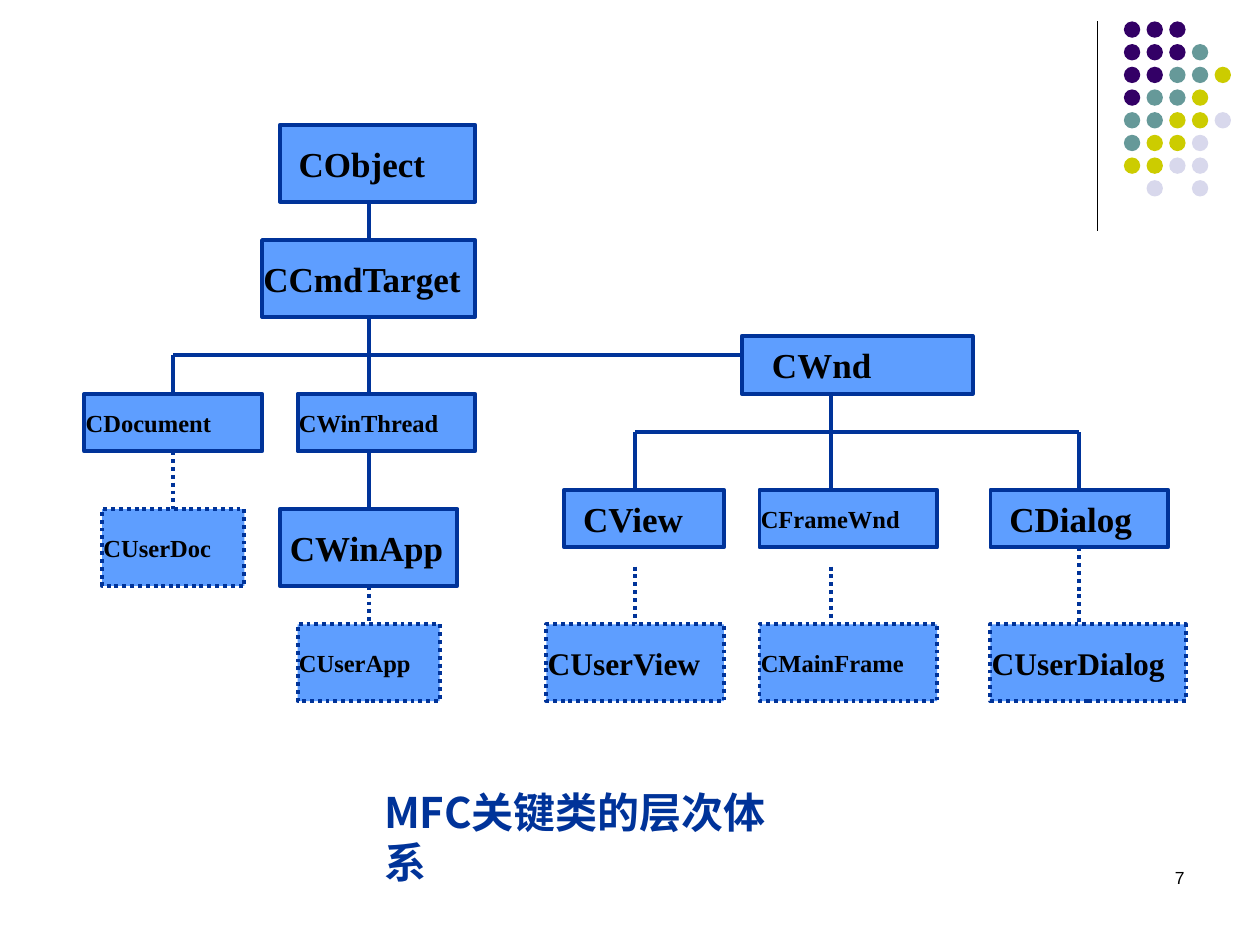
"""Build the class tree slide on a grid of columns and rows."""
from typing import NamedTuple

from lxml import etree
from pptx import Presentation
from pptx.dml.color import RGBColor
from pptx.enum.dml import MSO_LINE
from pptx.enum.shapes import MSO_CONNECTOR, MSO_SHAPE
from pptx.enum.text import MSO_ANCHOR, PP_ALIGN
from pptx.oxml.ns import qn
from pptx.util import Inches, Pt

DOTTED = MSO_LINE.ROUND_DOT
STRAIGHT = MSO_CONNECTOR.STRAIGHT
RECT, OVAL = MSO_SHAPE.RECTANGLE, MSO_SHAPE.OVAL
MIDDLE = MSO_ANCHOR.MIDDLE
LEFT, RIGHT = PP_ALIGN.LEFT, PP_ALIGN.RIGHT

WIDE, HIGH = 10, 7.5
X0, Y0 = 0.67, 0.99
COL, ROW = 1.41 / 10, 0.61 / 4
BLUE, SKY, BLACK = "003399", "5E9EFF", "000000"
SERIF, SANS, HAN = "Times New Roman", "Arial", "Noto Sans CJK SC"

DOT, STEP = 0.13, 0.18
TINTS = {"P": "330066", "T": "669999", "Y": "CCCC00", "L": "D8D8EC"}
DOTS = ["PPP", "PPPT", "PPTTY", "PTTY", "TTYYL", "TYYL", "YYLL", ".L.L"]


class Box(NamedTuple):
    """A class box in grid units, with its text size and inset."""
    name: str
    col: int
    row: int
    cols: int
    rows: int
    size: int = 14
    inset: float = 0.01
    user: bool = False


class Link(NamedTuple):
    """A line between two grid points."""
    start: tuple[int, int]
    end: tuple[int, int]
    user: bool = False


BOXES = [
    Box("CObject", 11, 0, 11, 4, 20, 0.15),
    Box("CCmdTarget", 10, 6, 12, 4, 20),
    Box("CWinApp", 11, 20, 10, 4, 20, 0.08),
    Box("CUserDoc", 1, 20, 8, 4, user=True),
    Box("CDocument", 0, 14, 10, 3),
    Box("CWinThread", 12, 14, 10, 3),
    Box("CWnd", 37, 11, 13, 3, 20, 0.24),
    Box("CUserApp", 12, 26, 8, 4, user=True),
    Box("CView", 27, 19, 9, 3, 20, 0.15),
    Box("CFrameWnd", 38, 19, 10, 3),
    Box("CDialog", 51, 19, 10, 3, 20, 0.15),
    Box("CUserView", 26, 26, 10, 4, 18, user=True),
    Box("CUserDialog", 51, 26, 11, 4, 18, user=True),
    Box("CMainFrame", 38, 26, 10, 4, user=True),
]
LINKS = [
    Link((16, 4), (16, 6)),
    Link((5, 12), (5, 14)),
    Link((5, 12), (37, 12)),
    Link((16, 10), (16, 14)),
    Link((16, 17), (16, 20)),
    Link((5, 17), (5, 20), True),
    Link((16, 24), (16, 26), True),
    Link((56, 16), (56, 19)),
    Link((42, 14), (42, 19)),
    Link((31, 16), (56, 16)),
    Link((31, 23), (31, 26), True),
    Link((56, 22), (56, 26), True),
    Link((31, 16), (31, 19)),
    Link((42, 23), (42, 26), True),
]


def tint(code: str) -> RGBColor:
    """Turn a hex string into a colour."""
    return RGBColor.from_string(code)


def place(col: float, row: float) -> tuple[int, int]:
    """Turn a grid point into slide lengths."""
    return Inches(X0 + col * COL), Inches(Y0 + row * ROW)


def stroke(line, code: str, width: float, user: bool = False) -> None:
    """Set the colour, width and dash of a line."""
    line.color.rgb = tint(code)
    line.width = Pt(width)
    if user:
        line.dash_style = DOTTED


def write(frame, text: str, size: int, face: str, code: str, bold: bool, align=LEFT) -> None:
    """Fill a text frame with one styled paragraph."""
    frame.word_wrap = True
    para = frame.paragraphs[0]
    para.text = text
    para.alignment = align
    font = para.font
    font.size, font.name, font.bold = Pt(size), face, bold
    font.color.rgb = tint(code)
    props = para._p.pPr.find(qn("a:defRPr"))
    etree.SubElement(props, qn("a:ea")).set("typeface", face)


def draw_line(shapes, start, end, code: str, width: float, user: bool = False):
    """Draw a straight line without a shadow."""
    line = shapes.add_connector(STRAIGHT, *start, *end)
    stroke(line.line, code, width, user)
    etree.SubElement(line._element.spPr, qn("a:effectLst"))
    return line


def draw_box(shapes, box: Box):
    """Draw one class box with its name."""
    left, top = place(box.col, box.row)
    shape = shapes.add_shape(RECT, left, top, Inches(box.cols * COL), Inches(box.rows * ROW))
    shape.shadow.inherit = False
    shape.fill.solid()
    shape.fill.fore_color.rgb = tint(SKY)
    stroke(shape.line, BLUE, 2.25, box.user)
    frame = shape.text_frame
    frame.margin_top = frame.margin_bottom = frame.margin_right = Inches(0.01)
    frame.margin_left = Inches(box.inset)
    frame.vertical_anchor = MIDDLE
    write(frame, box.name, box.size, SERIF, BLACK, True)
    return shape


def draw_tree(shapes) -> None:
    """Draw the links, then the boxes, and join them where sides meet."""
    lines = [draw_line(shapes, place(*link.start), place(*link.end), BLUE, 2.25, link.user)
             for link in LINKS]
    ports = {}
    for box in BOXES:
        shape = draw_box(shapes, box)
        mid = box.col + box.cols / 2
        ports[mid, box.row] = shape, 0
        ports[mid, box.row + box.rows] = shape, 2
    for link, line in zip(LINKS, lines):
        if link.start in ports:
            line.begin_connect(*ports[link.start])
        if link.end in ports:
            line.end_connect(*ports[link.end])


def draw_dots(shapes) -> None:
    """Draw the corner pattern of dots."""
    for row, marks in enumerate(DOTS):
        for col, mark in enumerate(marks):
            if mark in TINTS:
                dot = shapes.add_shape(OVAL, Inches(8.92 + col * STEP), Inches(0.17 + row * STEP),
                                       Inches(DOT), Inches(DOT))
                dot.shadow.inherit = False
                dot.fill.solid()
                dot.fill.fore_color.rgb = tint(TINTS[mark])
                dot.line.fill.background()


def draw_text(shapes, left: float, top: float, width: float, *style) -> None:
    """Add a text box half an inch high."""
    area = shapes.add_textbox(Inches(left), Inches(top), Inches(width), Inches(0.5))
    write(area.text_frame, *style)


def main() -> None:
    """Build and save the slide."""
    deck = Presentation()
    deck.slide_width, deck.slide_height = Inches(WIDE), Inches(HIGH)
    shapes = deck.slides.add_slide(deck.slide_layouts[6]).shapes
    rule = Inches(8.71)
    draw_line(shapes, (rule, Inches(0.17)), (rule, Inches(1.83)), BLACK, 0.75)
    draw_dots(shapes)
    draw_text(shapes, 7.17, 6.83, 2.33, "7", 10, SANS, BLACK, False, RIGHT)
    draw_tree(shapes)
    draw_text(shapes, 2.95, 6.19, 3.55, "MFC关键类的层次体系", 24, HAN, BLUE, True)
    deck.save("out.pptx")


if __name__ == "__main__":
    main()
